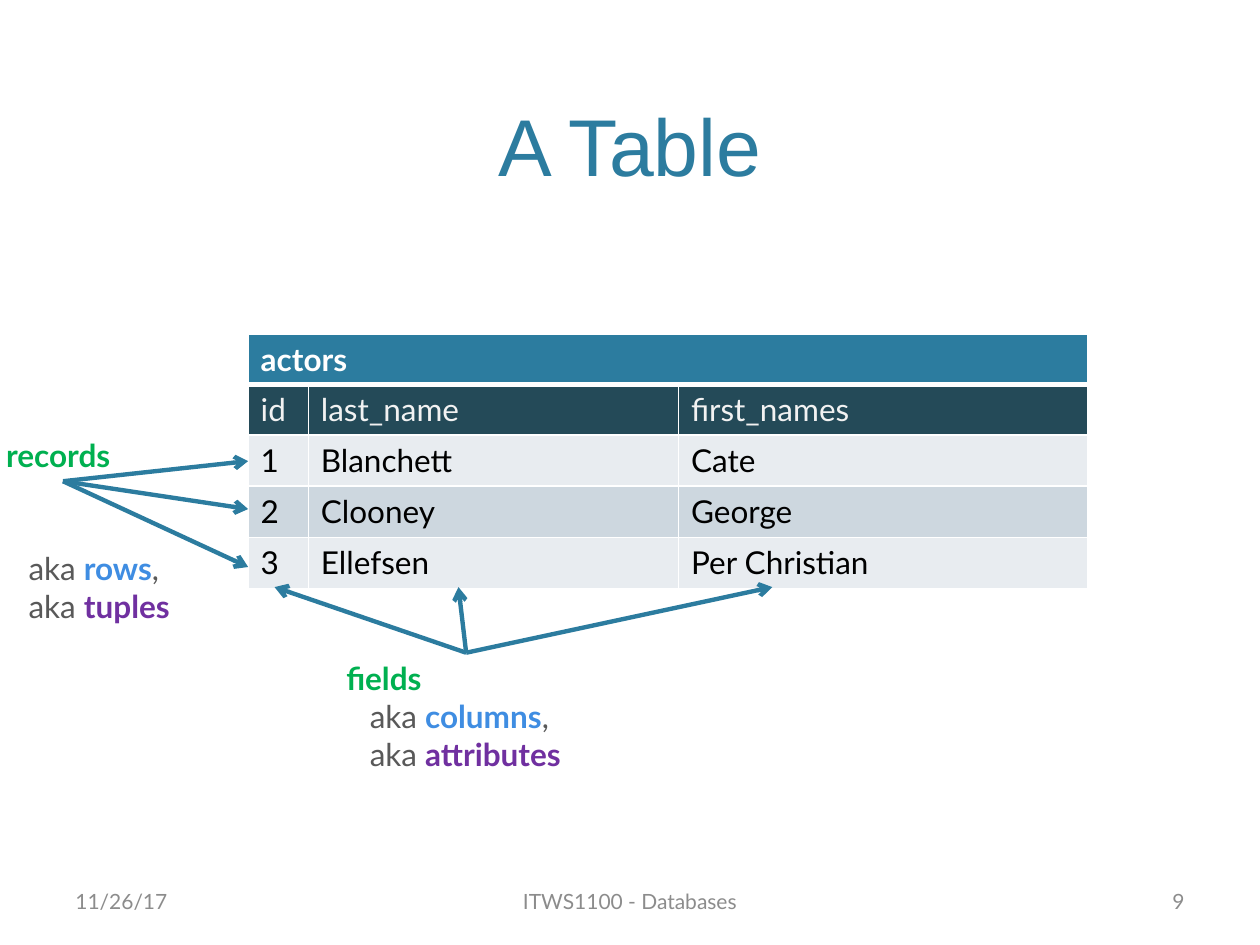
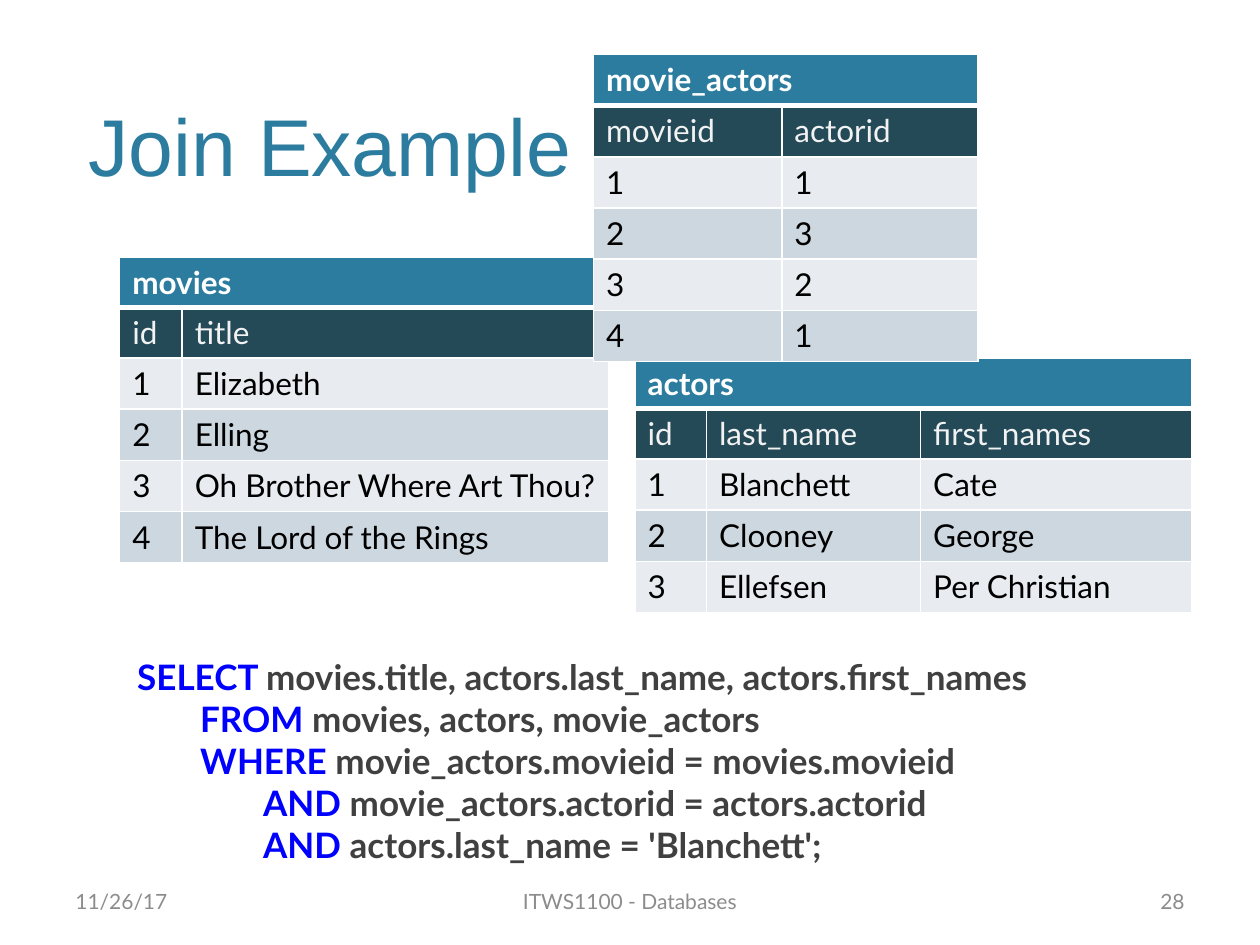
from dataclasses import dataclass
from lxml import etree
from pptx import Presentation
from pptx.dml.color import RGBColor
from pptx.enum.shapes import MSO_CONNECTOR
from pptx.enum.text import MSO_ANCHOR, MSO_AUTO_SIZE, PP_ALIGN
from pptx.oxml.ns import qn
from pptx.util import Pt

LEFT, MID, RIGHT = PP_ALIGN.LEFT, PP_ALIGN.CENTER, PP_ALIGN.RIGHT
TOP, CENTER, BOTTOM = MSO_ANCHOR.TOP, MSO_ANCHOR.MIDDLE, MSO_ANCHOR.BOTTOM
FIXED = MSO_AUTO_SIZE.NONE
STRAIGHT = MSO_CONNECTOR.STRAIGHT


@dataclass(frozen=True)
class Theme:
    accent: str = "2C7C9F"
    dark: str = "244A58"
    pale: str = "E8ECF0"
    band: str = "CDD7DF"
    white: str = "FFFFFF"
    light: str = "F2F2F2"
    black: str = "000000"
    gray: str = "595959"
    code: str = "404040"
    foot: str = "8C8C8C"
    green: str = "00B050"
    blue: str = "3F8DE2"
    purple: str = "7030A0"
    key: str = "0000FF"
    head: str = "Arial"
    body: str = "Lato"
    title: int = 46
    query: int = 20
    text: int = 18
    small: int = 12


T = Theme()
PAGE = (720, 540)
TITLE = (43.2, 8.64, 633.6, 105.12)
FOOT = (36, 500.4, 648, 28.8)
HEAD_ROW, ROW = 26.7, 29.3

ACTORS = ("actors", [("id", "last_name", "first_names"),
                     ("1", "Blanchett", "Cate"),
                     ("2", "Clooney", "George"),
                     ("3", "Ellefsen", "Per Christian")])
MOVIES = ("movies", [("id", "title"),
                     ("1", "Elizabeth"),
                     ("2", "Elling"),
                     ("3", "Oh Brother Where Art Thou?"),
                     ("4", "The Lord of the Rings")])
LINKS = ("movie_actors", [("movieid", "actorid"),
                          ("1", "1"), ("2", "3"), ("3", "2"), ("4", "1")])
QUERY = [(0, "SELECT ", "movies.title, actors.last_name, actors.first_names"),
         (1, "FROM ", "movies, actors, movie_actors"),
         (1, "WHERE ", "movie_actors.movieid = movies.movieid"),
         (2, "AND ", "movie_actors.actorid = actors.actorid"),
         (2, "AND ", "actors.last_name = 'Blanchett';")]


def points(*nums):
    return [Pt(num) for num in nums]


def style(run, size, color, bold=False, face=T.body):
    font = run.font
    font.name, font.size, font.bold = face, Pt(size), bold
    font.color.rgb = RGBColor.from_string(color)


def write(slide, box, lines, size, align=LEFT, anchor=TOP):
    """Each line is (indent, space before, [(text, color, bold), ...])."""
    frame = slide.shapes.add_textbox(*points(*box)).text_frame
    frame.word_wrap = True
    frame.vertical_anchor = anchor
    for num, (indent, gap, parts) in enumerate(lines):
        para = frame.add_paragraph() if num else frame.paragraphs[0]
        para.alignment = align
        para.space_before = Pt(gap)
        para._p.get_or_add_pPr().set("marL", str(Pt(indent)))
        for text, color, bold in parts:
            run = para.add_run()
            run.text = text
            style(run, size, color, bold)


def edge(cell, side, width):
    line = etree.Element(qn("a:ln" + side), w=str(Pt(width)))
    fill = etree.SubElement(line, qn("a:solidFill"))
    etree.SubElement(fill, qn("a:srgbClr"), val=T.white)
    return line


def paint(cell, text, fill, color, bold, above, below):
    cell.text = text
    cell.fill.solid()
    cell.fill.fore_color.rgb = RGBColor.from_string(fill)
    for run in cell.text_frame.paragraphs[0].runs:
        style(run, T.text, color, bold)
    # Borders come before the fill in the cell properties
    sides = (("L", 1), ("R", 1), ("T", above), ("B", below))
    for num, (side, width) in enumerate(sides):
        cell._tc.get_or_add_tcPr().insert(num, edge(cell, side, width))


def grid(slide, left, top, data, widths, head=HEAD_ROW):
    name, rows = data
    rows = [(name,) + ("",) * (len(widths) - 1)] + rows
    highs = [head] * 2 + [ROW] * (len(rows) - 2)
    box = points(left, top, sum(widths), sum(highs))
    table = slide.shapes.add_table(len(rows), len(widths), *box).table
    table.first_row = table.horz_banding = False
    for col, width in zip(table.columns, widths):
        col.width = Pt(width)
    for num, (row, high) in enumerate(zip(rows, highs)):
        table.rows[num].height = Pt(high)
        if num == 0:
            look = T.accent, T.white, True, 1, 3
        elif num == 1:
            look = T.dark, T.light, False, 3, 1
        else:
            look = (T.band if num % 2 else T.pale), T.black, False, 1, 1
        for col, text in enumerate(row):
            paint(table.cell(num, col), text, *look)
    table.cell(0, 0).merge(table.cell(0, len(widths) - 1))


def fan(slide, hub, tips):
    """Arrows from one hub to several tips."""
    for tip in tips:
        arrow = slide.shapes.add_connector(STRAIGHT, *points(*hub, *tip))
        arrow.line.color.rgb = RGBColor.from_string(T.accent)
        arrow.line.width = Pt(2.5)
        etree.SubElement(arrow.line._ln, qn("a:tailEnd"), type="arrow")
        etree.SubElement(arrow._element.spPr, qn("a:effectLst"))


def label(slide, box, name, first, second, indent, gap=0):
    """A term with its two other names below."""
    write(slide, box, [
        (0, 0, [(name, T.green, True)]),
        (indent, gap, [("aka ", T.gray, False), (first, T.blue, True),
                       (",", T.gray, False)]),
        (indent, 0, [("aka ", T.gray, False), (second, T.purple, True)]),
    ], T.text)


def query(slide, box):
    write(slide, box, [(36 * step, 0, [(word, T.key, True), (rest, T.code, True)])
                       for step, word, rest in QUERY], T.query)


def footer(slide, box, page):
    left, top, width, high = box
    side, mid = 168, 228
    parts = (("11/26/17", left, side, LEFT),
             ("ITWS1100 - Databases", left + (width - mid) / 2, mid, MID),
             (page, left + width - side, side, RIGHT))
    for text, start, span, align in parts:
        write(slide, (start, top, span, high), [(0, 0, [(text, T.foot, False)])],
              T.small, align, CENTER)


def begin(deck, text, align, page):
    """A new slide with its title and footer."""
    slide = deck.slides.add_slide(deck.slide_layouts[5])
    title = slide.shapes.title
    title.left, title.top, title.width, title.height = points(*TITLE)
    frame = title.text_frame
    frame.text = text
    frame.auto_size, frame.vertical_anchor = FIXED, BOTTOM
    para = frame.paragraphs[0]
    para.alignment = align
    style(para.runs[0], T.title, T.accent, face=T.head)
    footer(slide, FOOT, page)
    return slide


def anatomy(slide, left, top):
    """The actors table with its rows and columns pointed out."""
    grid(slide, left, top, ACTORS, (34.4, 211.6, 234))
    # Records, left of the table
    label(slide, (left - 145.4, top + 54.7, 190.8, 116.6),
          "records", "rows", "tuples", 12.8, 43.2)
    fan(slide, (left - 105.8, top + 84.2),
        [(left, top + drop) for drop in (72.7, 100.1, 133.2)])
    # Fields, below the table
    label(slide, (left + 49, top + 182.2, 151.2, 72.7),
          "fields", "columns", "attributes", 13.5)
    fan(slide, (left + 124.6, top + 182.2),
        [(left + shift, top + 144.7) for shift in (15.1, 120.2, 299.5)])


def join(slide, left, top):
    """Three tables, linked by the query below them."""
    query(slide, (left + 2.9, top + 339.8, 584.6, 128.2))
    grid(slide, left + 294.5, top + 173.5, ACTORS, (40.8, 122.4, 154.8))
    grid(slide, left, top + 115.9, MOVIES, (35.7, 243.8))
    grid(slide, left + 270.7, top, LINKS, (107.7, 112.1), ROW)


deck = Presentation()
deck.slide_width, deck.slide_height = points(*PAGE)
anatomy(begin(deck, "A Table", MID, "9"), 141.8, 190.8)
join(begin(deck, "Join Example", LEFT, "28"), 68.4, 31)
deck.save("out.pptx")
